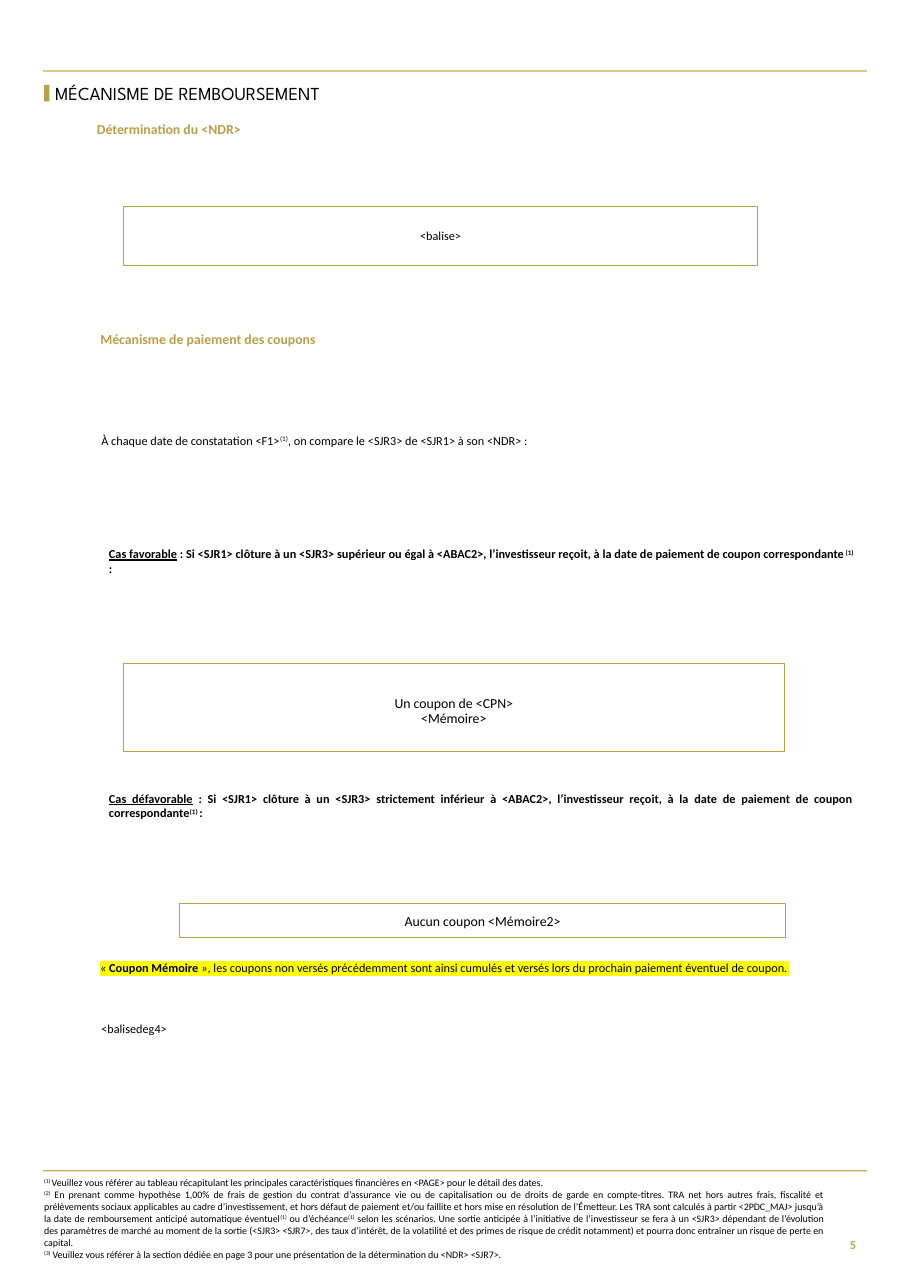
from dataclasses import dataclass

from lxml import etree
from pptx import Presentation
from pptx import util as u
from pptx.dml.color import RGBColor
from pptx.enum import shapes, text
from pptx.oxml.ns import qn


@dataclass(frozen=True)
class Theme:
    gold: str = "B9A049"
    rule: str = "C5AF5C"
    ink: str = "000000"
    paper: str = "FFFFFF"
    marker: str = "FFFF00"
    body_font: str = "Calibri"
    title_font: str = "League Spartan"
    title: float = 12
    heading: float = 9
    body: float = 8
    note: float = 6.5


THEME = Theme()
WIDTH, HEIGHT = 8.27, 11.69
LEFT, CENTER, RIGHT, JUSTIFY = (
    text.PP_ALIGN.LEFT, text.PP_ALIGN.CENTER, text.PP_ALIGN.RIGHT, text.PP_ALIGN.JUSTIFY)


def case_runs(name, condition):
    return [(name, "underline"),
            f" : Si <SJR1> clôture à un <SJR3> {condition} à <ABAC2>, l’investisseur reçoit, "
            "à la date de paiement de coupon correspondante",
            ("(1) ", "super"), ": "]


# Places are left, top, width, height in percent of the slide.
# A paragraph is a list of runs: plain text, or (text, styles).
TITLE = ((6.05, 6.24, 50.91, 2.14), [["MÉCANISME DE REMBOURSEMENT"]])
BARS = [
    ((4.72, 5.47, 90.45, 0.09), THEME.rule),
    ((4.72, 90.85, 90.45, 0.09), THEME.rule),
    ((4.84, 6.59, 0.6, 1.28), THEME.gold),
]
HEADINGS = [
    ((8.22, 9.41, 38.33, 1.54), [["Détermination du <NDR>"]]),
    ((8.59, 25.66, 81.86, 1.45), [["Mécanisme de paiement des coupons"]]),
]
BODY_TEXTS = [
    ((11.12, 33.62, 79.44, 1.11), [[
        "À chaque date de constatation <F1>", ("(1)", "super"),
        ", on compare le <SJR3> de <SJR1> à son <NDR> :"]]),
    ((11, 74.59, 81.74, 1.11), [[
        ("« ", "mark"), ("Coupon Mémoire ", "mark bold"),
        ("», les coupons non versés précédemment sont ainsi cumulés et versés lors du "
         "prochain paiement éventuel de coupon.", "mark")]]),
    ((11.12, 79.3, 81.74, 1.11), [["<balisedeg4>"]]),
]
CASES = [
    ((11.97, 42.43, 81.74, 2.31), [case_runs("Cas favorable", "supérieur ou égal")]),
    ((11.97, 61.42, 81.74, 2.31), [case_runs("Cas défavorable", "strictement inférieur")]),
]
# Place, paragraphs, type size, line width, fill, top and bottom inset, line spacing
FRAMES = [
    ((13.54, 16, 69.65, 4.62), [["<balise>"]], THEME.body, 0.5, None, (0.2, 0.2), 1),
    ((13.54, 51.5, 72.55, 6.84), [["Un coupon de <CPN>"], ["<Mémoire>"]],
     THEME.heading, 0.75, THEME.paper, (0.15, 0.08), 0.9),
    ((19.71, 70.15, 66.51, 2.65), [["Aucun coupon <Mémoire2>"]],
     THEME.heading, 0.75, THEME.paper, (0.08, 0.08), 1),
]
NOTES = ((4.84, 91.36, 85.73, 6.59), [
    [("(1) ", "super"),
     "Veuillez vous référer au tableau récapitulant les principales caractéristiques "
     "financières en <PAGE> pour le détail des dates. "],
    [("(2)", "super"),
     " En prenant comme hypothèse 1,00% de frais de gestion du contrat d’assurance vie ou de "
     "capitalisation ou de droits de garde en compte-titres. TRA net hors autres frais, "
     "fiscalité et prélèvements sociaux applicables au cadre d’investissement, et hors défaut "
     "de paiement et/ou faillite et hors mise en résolution de l’Émetteur. Les TRA sont "
     "calculés à partir <2PDC_MAJ> jusqu’à la date de remboursement anticipé automatique "
     "éventuel",
     ("(1)", "super"), " ou d’échéance", ("(1)", "super"),
     " selon les scénarios. Une sortie anticipée à l’initiative de l’investisseur se fera à un "
     "<SJR3> dépendant de l’évolution des paramètres de marché au moment de la sortie (<SJR3> "
     "<SJR7>, des taux d’intérêt, de la volatilité et des primes de risque de crédit "
     "notamment) et pourra donc entraîner un risque de perte en capital."],
    [("(3)", "super"),
     " Veuillez vous référer à la section dédiée en page 3 pour une présentation de la "
     "détermination du <NDR> <SJR7>."],
])
PAGE_NUMBER = ((90.45, 94.87, 4.72, 3.59), [["5"]])


def to_lengths(place):
    return [u.Inches(share * side / 100)
            for share, side in zip(place, (WIDTH, HEIGHT, WIDTH, HEIGHT))]


def write(shape, paragraphs, size=THEME.body, font=THEME.body_font, color=THEME.ink,
          bold=False, align=JUSTIFY, middle=False, insets=(0, 0, 0, 0), spacing=1, indent=0):
    """Fill a shape with paragraphs; insets are left, top, right, bottom in inches."""
    frame = shape.text_frame
    frame.word_wrap = True
    frame.auto_size = text.MSO_AUTO_SIZE.NONE
    frame.vertical_anchor = text.MSO_ANCHOR.MIDDLE if middle else text.MSO_ANCHOR.TOP
    (frame.margin_left, frame.margin_top,
     frame.margin_right, frame.margin_bottom) = map(u.Inches, insets)
    for index, runs in enumerate(paragraphs):
        paragraph = frame.add_paragraph() if index else frame.paragraphs[0]
        paragraph.alignment = align
        paragraph.line_spacing = spacing
        if indent:
            paragraph._p.get_or_add_pPr().set("marL", str(u.Inches(indent)))
        for item in runs:
            words, styles = (item, "") if isinstance(item, str) else item
            run = paragraph.add_run()
            run.text = words
            run.font.size = u.Pt(size)
            run.font.name = font
            run.font.bold = bold or "bold" in styles
            run.font.underline = "underline" in styles
            run.font.color.rgb = RGBColor.from_string(color)
            properties = run._r.get_or_add_rPr()
            if "super" in styles:
                properties.set("baseline", "30000")
            if "mark" in styles:
                highlight = etree.Element(qn("a:highlight"))
                etree.SubElement(highlight, qn("a:srgbClr"), val=THEME.marker)
                properties.find(qn("a:solidFill")).addnext(highlight)


def add_text(slide, place, paragraphs, **style):
    write(slide.shapes.add_textbox(*to_lengths(place)), paragraphs, **style)


def add_rectangle(slide, place, fill=None, line_width=0):
    shape = slide.shapes.add_shape(shapes.MSO_SHAPE.RECTANGLE, *to_lengths(place))
    shape.shadow.inherit = False
    if fill:
        shape.fill.solid()
        shape.fill.fore_color.rgb = RGBColor.from_string(fill)
    else:
        shape.fill.background()
    if line_width:
        shape.line.color.rgb = RGBColor.from_string(THEME.gold)
        shape.line.width = u.Pt(line_width)
    else:
        shape.line.fill.background()
    return shape


def main():
    presentation = Presentation()
    presentation.slide_width = u.Inches(WIDTH)
    presentation.slide_height = u.Inches(HEIGHT)
    slide = presentation.slides.add_slide(presentation.slide_layouts[5])

    title = slide.shapes.title
    title.left, title.top, title.width, title.height = to_lengths(TITLE[0])
    write(title, TITLE[1], size=THEME.title, font=THEME.title_font,
          align=LEFT, middle=True, spacing=0.9)

    for place, fill in BARS:
        add_rectangle(slide, place, fill)
    for place, paragraphs in HEADINGS:
        add_text(slide, place, paragraphs, size=THEME.heading, color=THEME.gold,
                 bold=True, align=LEFT, indent=0.2)
    for place, paragraphs in BODY_TEXTS:
        add_text(slide, place, paragraphs)
    for place, paragraphs in CASES:
        add_text(slide, place, paragraphs, bold=True)
    for place, paragraphs, size, line_width, fill, (top, bottom), spacing in FRAMES:
        write(add_rectangle(slide, place, fill, line_width), paragraphs, size=size,
              align=CENTER, middle=True, insets=(0.12, top, 0.12, bottom), spacing=spacing)
    add_text(slide, *NOTES, size=THEME.note)
    add_text(slide, *PAGE_NUMBER, color=THEME.gold, bold=True, align=RIGHT, middle=True,
             insets=(0.1, 0.05, 0.1, 0.05))

    presentation.save("out.pptx")


if __name__ == "__main__":
    main()
